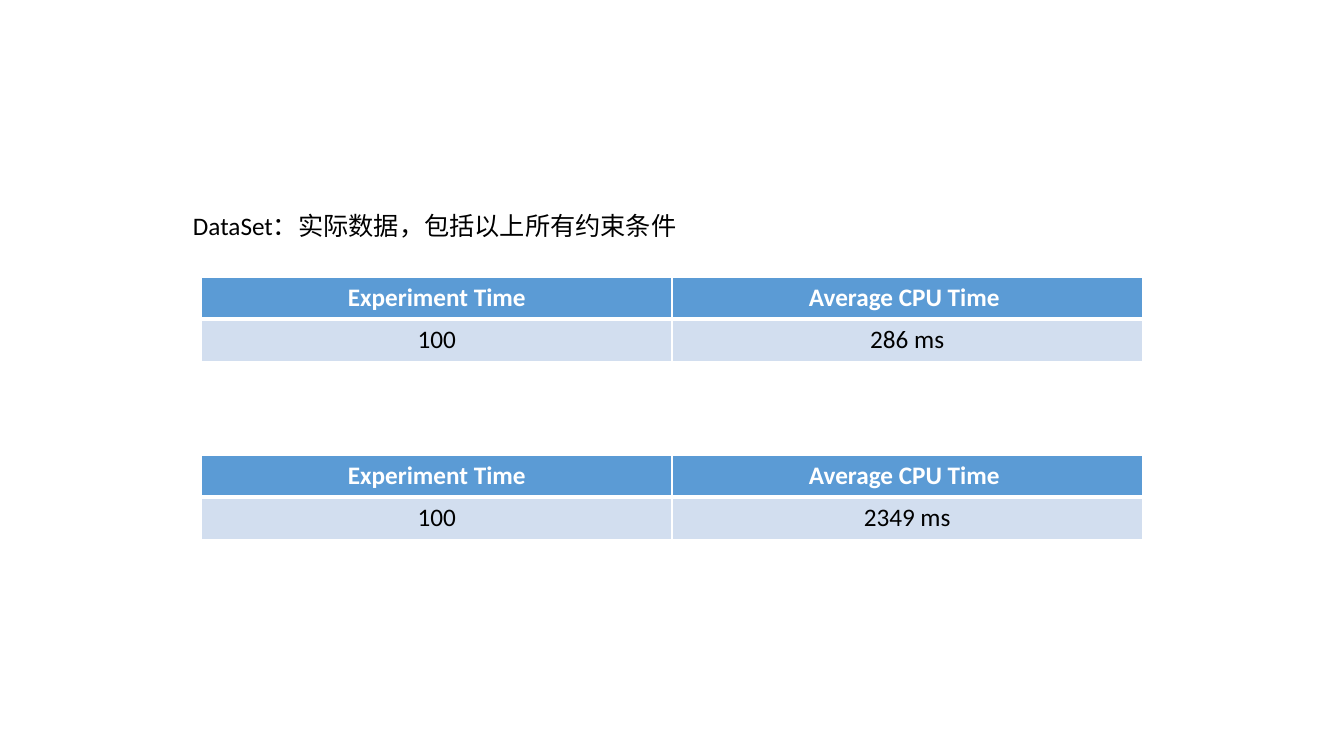
from lxml import etree
from pptx import Presentation
from pptx import util as u
from pptx.dml.color import RGBColor
from pptx.enum import text
from pptx.oxml import ns

WHITE = RGBColor(0xFF, 0xFF, 0xFF)
BLACK = RGBColor(0, 0, 0)
HEADER_BLUE = RGBColor(0x5B, 0x9B, 0xD5)
ROW_BLUE = RGBColor(0xD2, 0xDE, 0xEF)
GOLD = RGBColor(0xFF, 0xC0, 0x00)

HEADINGS = ("Experiment Time", "Average CPU Time ")


def write(frame, words, color=BLACK, bold=False, align=text.PP_ALIGN.LEFT, size=18, font="Calibri"):
    paragraph = frame.paragraphs[0]
    paragraph.alignment = align
    run = paragraph.add_run()
    run.text = words
    run.font.name = font
    run.font.size = u.Pt(size)
    run.font.bold = bold
    run.font.color.rgb = color


def add_color(parent, color):
    fill = etree.SubElement(parent, ns.qn("a:solidFill"))
    return etree.SubElement(fill, ns.qn("a:srgbClr"), val=str(color))


class Board:
    COLUMNS, ROWS = 80, 45

    def __init__(self, deck):
        self.slide = deck.slides.add_slide(deck.slide_layouts[6])
        self.column = deck.slide_width / self.COLUMNS
        self.row = deck.slide_height / self.ROWS

    def place(self, left, top, width, height):
        return (u.Emu(round(left * self.column)), u.Emu(round(top * self.row)),
                u.Emu(round(width * self.column)), u.Emu(round(height * self.row)))

    def label(self, words, *area):
        frame = self.slide.shapes.add_textbox(*self.place(*area)).text_frame
        frame.word_wrap = False
        frame.auto_size = text.MSO_AUTO_SIZE.SHAPE_TO_FIT_TEXT
        write(frame, words)

    def table(self, records, *area, glow=None):
        grid = self.slide.shapes.add_table(
            len(records), len(records[0]), *self.place(*area)).table
        for index, record in enumerate(records):
            header = index == 0
            for cell, words in zip(grid.rows[index].cells, record):
                cell.vertical_anchor = text.MSO_ANCHOR.MIDDLE
                write(cell.text_frame, words, WHITE if header else BLACK,
                      bold=header, align=text.PP_ALIGN.CENTER)
                self.borders(cell, top=1 if header else 3, bottom=3 if header else 1)
                cell.fill.solid()
                cell.fill.fore_color.rgb = HEADER_BLUE if header else ROW_BLUE
        if glow:
            self.shadow(grid, glow)

    def borders(self, cell, top, bottom):
        properties = cell._tc.get_or_add_tcPr()
        for side, points in (("L", 1), ("R", 1), ("T", top), ("B", bottom)):
            line = etree.SubElement(properties, ns.qn(f"a:ln{side}"), w=str(u.Pt(points)))
            add_color(line, WHITE)

    def shadow(self, grid, color):
        effects = etree.Element(ns.qn("a:effectLst"))
        outer = etree.SubElement(
            effects, ns.qn("a:outerShdw"), blurRad=str(u.Pt(4)), dist=str(u.Pt(4)),
            dir="5400000", algn="ctr", rotWithShape="0")
        add_color(outer, color)
        grid._tbl.tblPr.insert(0, effects)


def main():
    deck = Presentation()
    deck.slide_width, deck.slide_height = u.Inches(13.33), u.Inches(7.5)
    board = Board(deck)
    board.table((HEADINGS, ("100", "2349 ms")), 12, 27.1, 56, 5, glow=GOLD)
    board.label("DataSet：实际数据，包括以上所有约束条件", 10.9, 12.2, 31, 2.4)
    board.table((HEADINGS, ("100", "286 ms")), 12, 16.5, 56, 5)
    deck.save("out.pptx")


if __name__ == "__main__":
    main()
